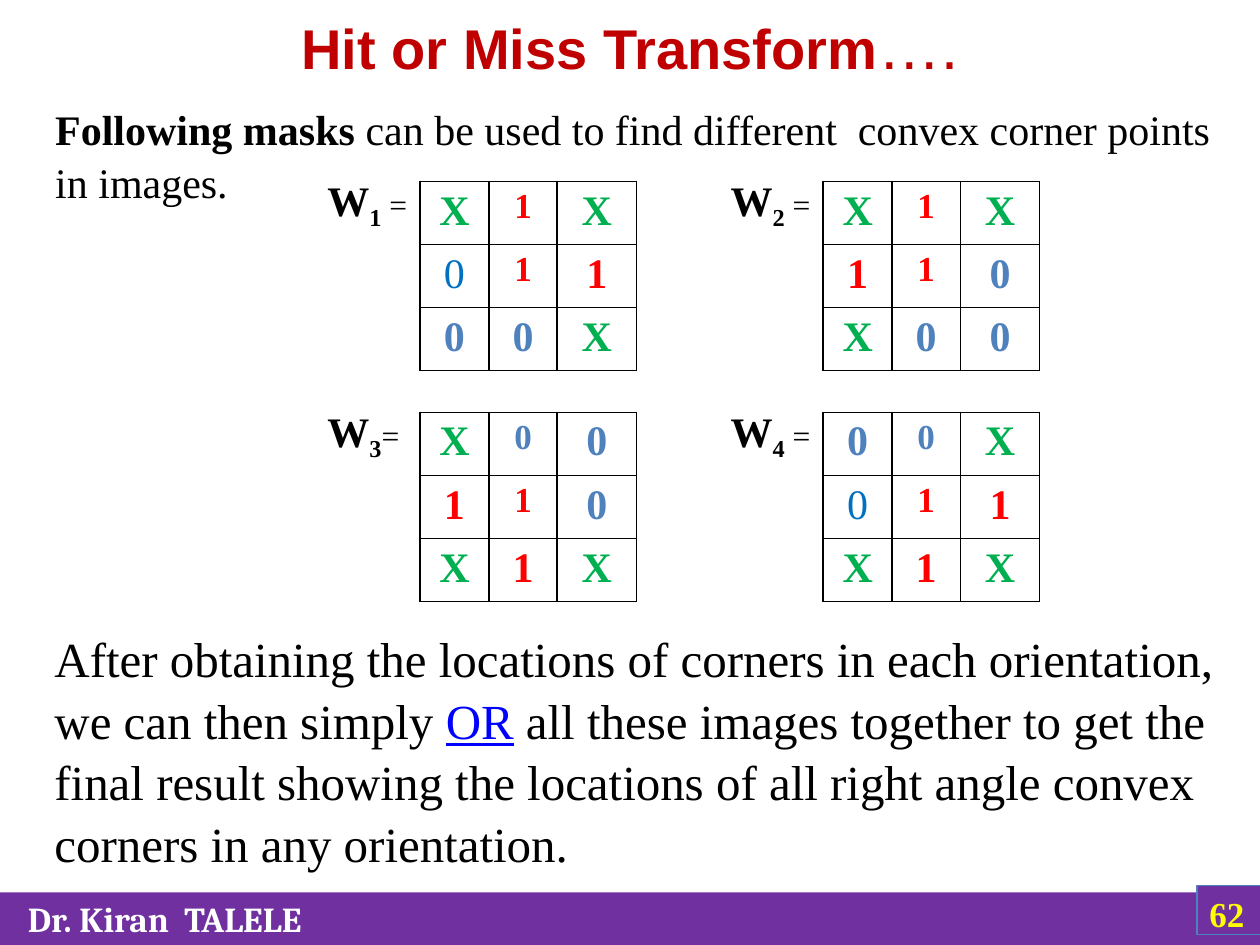
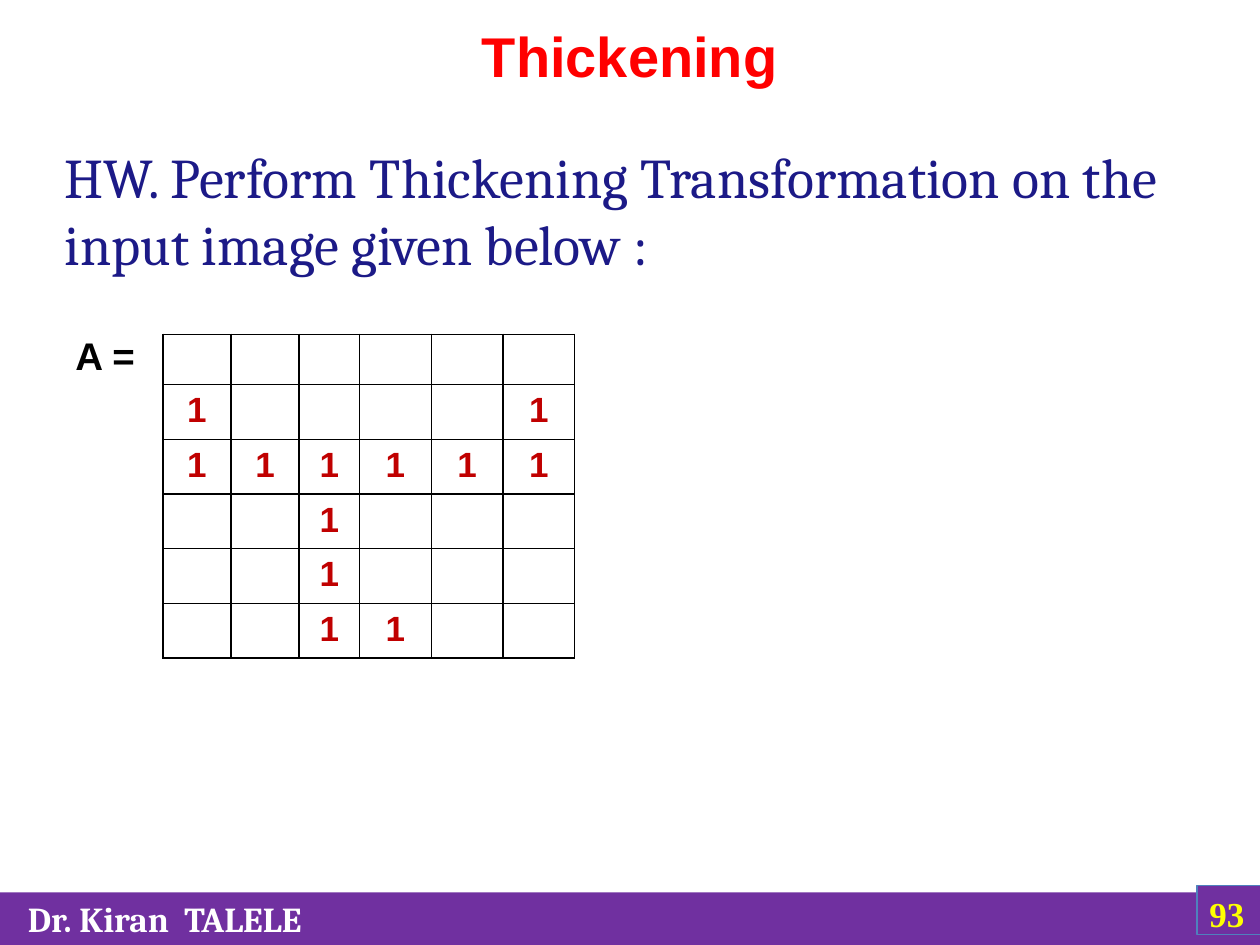
from lxml.etree import SubElement
from pptx import Presentation
from pptx.dml.color import RGBColor
from pptx.enum.shapes import MSO_SHAPE
from pptx.enum.text import MSO_ANCHOR, PP_ALIGN
from pptx.oxml.ns import qn
from pptx.util import Pt

COLORS = {
    "white": "FFFFFF", "black": "000000", "purple": "7030A0",
    "blue": "4F81BD", "azure": "0070C0", "navy": "1C1A87", "link": "0000FF",
    "yellow": "FFFF00", "green": "00B050", "red": "FF0000", "dark": "C00000",
}
SERIF, SANS, BOOK = "Times New Roman", "Arial", "Cambria"
WIDTH, HEIGHT = 720, 540

# Mask symbols: "o" is a zero in light type
MARKS = {"X": "green", "1": "red", "0": "blue", "o": "azure"}
MASKS = [
    ("1", " =", ["X1X", "o11", "00X"]),
    ("2", " =", ["X1X", "110", "X00"]),
    ("3", "=", ["X00", "110", "X1X"]),
    ("4", " =", ["00X", "o11", "X1X"]),
]
IMAGE = ["      ", "1    1", "111111", "  1   ", "  1   ", "  11  "]


def color(name):
    return RGBColor.from_string(COLORS[name])


def style(run, size, font, hue="black", bold=False, line=False, base=0):
    """Format a run; base is the baseline shift in percent."""
    run.font.size = Pt(size)
    run.font.name = font
    run.font.bold = bold
    run.font.color.rgb = color(hue)
    if line:
        run.font.underline = True
    if base:
        run._r.get_or_add_rPr().set("baseline", str(base * 1000))


def write(frame, runs, align=PP_ALIGN.LEFT, space=None):
    """Fill a frame with one paragraph of (text, style) pairs."""
    para = frame.paragraphs[0]
    para.alignment = align
    para.line_spacing = space
    for text, look in runs:
        run = para.add_run()
        run.text = text
        style(run, **look)


def add_text(slide, box, runs, anchor=MSO_ANCHOR.TOP, **layout):
    frame = slide.shapes.add_textbox(*map(Pt, box)).text_frame
    frame.word_wrap = True
    frame.vertical_anchor = anchor
    write(frame, runs, **layout)


def add_title(slide, top, runs):
    add_text(slide, (36, top, 648, 38), runs, MSO_ANCHOR.MIDDLE,
             align=PP_ALIGN.CENTER)


def add_band(slide, box, text, look, edge=None):
    band = slide.shapes.add_shape(MSO_SHAPE.RECTANGLE, *map(Pt, box))
    band.shadow.inherit = False
    band.fill.solid()
    band.fill.fore_color.rgb = color("purple")
    if edge:
        band.line.color.rgb = color(edge)
        band.line.width = Pt(0.75)
    else:
        band.line.fill.background()
    frame = band.text_frame
    frame.vertical_anchor = MSO_ANCHOR.MIDDLE
    write(frame, [(text, look)])
    return frame


def add_footer(slide, number):
    name = add_band(slide, (0, 510, WIDTH, 30), "Dr. Kiran  TALELE",
                    dict(size=20, font=BOOK, hue="white", bold=True))
    name.margin_left = Pt(16)
    page = add_band(slide, (684, 506, 42, 28), str(number),
                    dict(size=20, font=SERIF, hue="yellow", bold=True), "blue")
    page.margin_top = Pt(7)


def frame_cell(cell):
    """Draw a thin black border on all sides, then a white fill."""
    props = cell._tc.get_or_add_tcPr()
    for side in ("a:lnL", "a:lnR", "a:lnT", "a:lnB"):
        line = SubElement(props, qn(side), w=str(Pt(1)))
        fill = SubElement(line, qn("a:solidFill"))
        SubElement(fill, qn("a:srgbClr"), val=COLORS["black"])
    cell.fill.solid()
    cell.fill.fore_color.rgb = color("white")


def add_grid(slide, left, top, widths, heights, rows, look):
    """Add a table of single marks; look(row, col, mark) gives the style."""
    shape = slide.shapes.add_table(len(heights), len(widths), Pt(left), Pt(top),
                                   Pt(sum(widths)), Pt(sum(heights)))
    table = shape.table
    table.first_row = table.horz_banding = False
    for col, width in zip(table.columns, widths):
        col.width = Pt(width)
    for row, height in zip(table.rows, heights):
        row.height = Pt(height)
    for r, marks in enumerate(rows):
        for c, mark in enumerate(marks):
            cell = table.cell(r, c)
            frame_cell(cell)
            if mark != " ":
                write(cell.text_frame, [(mark.replace("o", "0"), look(r, c, mark))],
                      PP_ALIGN.CENTER)


def mask_look(row, col, mark):
    small = col == 1 and row < 2
    return dict(size=20 if small else 24, font=SERIF, hue=MARKS[mark],
                bold=mark != "o")


def image_look(row, col, mark):
    return dict(size=20, font=SANS, hue="dark", bold=True)


def add_mask(slide, left, top, index, equal, rows):
    bold = dict(size=24, font=SERIF, bold=True)
    add_text(slide, (left, top - 7.5, 62, 36),
             [("W", bold), (index, bold | dict(base=-25)),
              (equal, dict(size=18, font=SERIF))])
    add_grid(slide, left + 60, top, [39.4, 39, 45.4], [36] * 3, rows, mask_look)


def build_masks(slide):
    add_footer(slide, 62)
    head = dict(font=SANS, hue="dark")
    add_title(slide, 6, [("Hit or Miss Transform", head | dict(size=32, bold=True)),
                         ("….", head | dict(size=36))])
    body = dict(size=24, font=SERIF)
    add_text(slide, (24.5, 54, 684, 65.5),
             [("Following masks", body | dict(bold=True)),
              (" can be used to find different  convex corner points in images.",
               body)], space=1.05)
    for i, mask in enumerate(MASKS):
        row, col = divmod(i, 2)
        add_mask(slide, 180 + 230.4 * col, 103.6 + 132 * row, *mask)
    last = dict(size=28, font=SERIF)
    add_text(slide, (24, 356.5, 696, 143),
             [("After obtaining the locations of corners in each orientation, "
               "we can then simply ", last),
              ("OR", last | dict(hue="link", line=True)),
              (" all these images together to get the final result showing the "
               "locations of all right angle convex corners in any orientation.",
               last)], MSO_ANCHOR.MIDDLE, space=1.05)


def build_task(slide):
    add_footer(slide, 93)
    add_title(slide, 12.5, [("Thickening", dict(size=32, font=SANS, hue="red",
                                                bold=True))])
    add_text(slide, (30, 78, 648, 85),
             [("HW. Perform Thickening Transformation on the input image given "
               "below :", dict(size=32, font=BOOK, hue="navy"))])
    add_text(slide, (36, 186, 50, 34),
             [("A =", dict(size=22, font=SANS, bold=True))])
    add_grid(slide, 93, 191, [39, 39, 34.5, 41, 41, 41], [28.6] + [31.2] * 5,
             IMAGE, image_look)


def main():
    deck = Presentation()
    deck.slide_width, deck.slide_height = Pt(WIDTH), Pt(HEIGHT)
    for build in (build_masks, build_task):
        build(deck.slides.add_slide(deck.slide_layouts[6]))
    deck.save("out.pptx")


if __name__ == "__main__":
    main()
